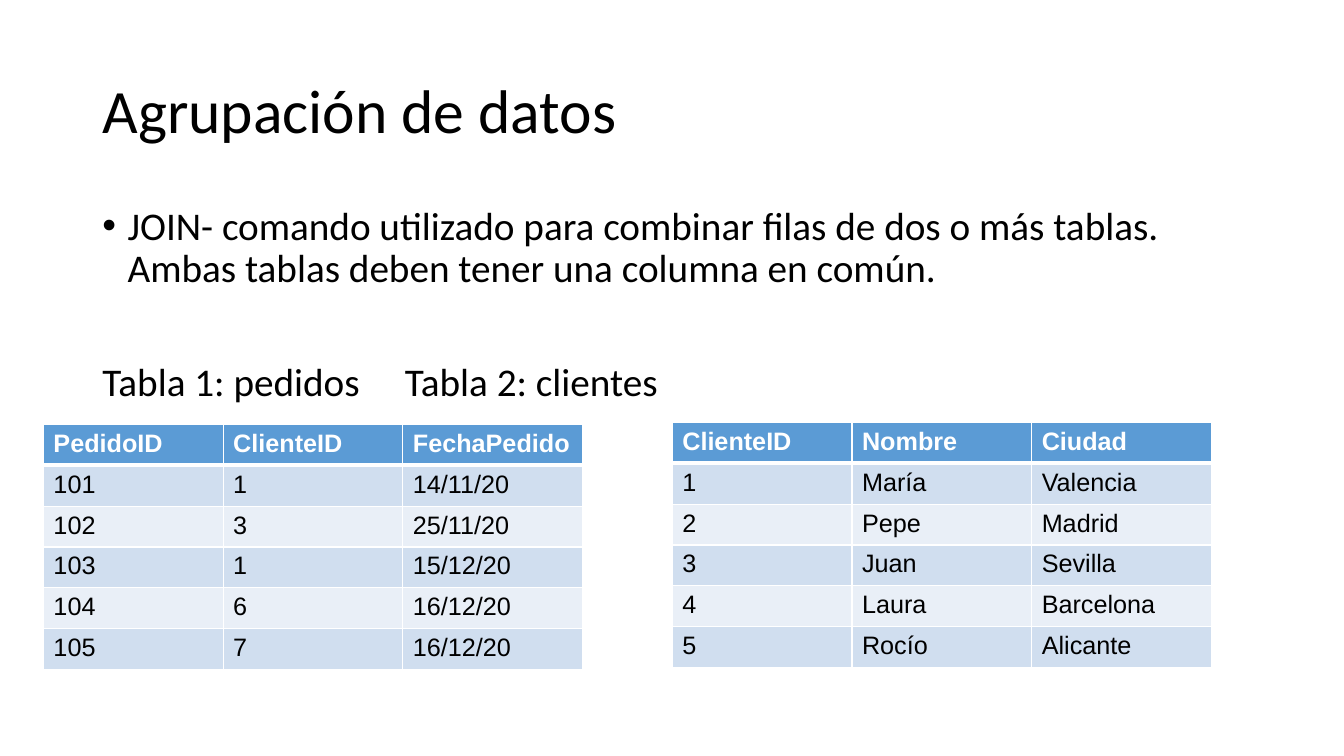
import pptx
import pptx.util
import pptx.oxml
import pptx.oxml.ns
from pptx.dml.color import RGBColor
from pptx.enum.text import MSO_ANCHOR, MSO_AUTO_SIZE, PP_ALIGN

Pt = pptx.util.Pt

TITLE = "Agrupación de datos"
BODY = [
    ("JOIN- comando utilizado para combinar filas de dos o más tablas. "
     "Ambas tablas deben tener una columna en común.", 0, True),
    ("Tabla 1: pedidos\tTabla 2: clientes", 50.8, False),
]
TABLES = [
    ((480.2, 301.7), [
        ("ClienteID", "Nombre", "Ciudad"),
        ("1", "María", "Valencia"),
        ("2", "Pepe", "Madrid"),
        ("3", "Juan", "Sevilla"),
        ("4", "Laura", "Barcelona"),
        ("5", "Rocío", "Alicante"),
    ]),
    ((31, 303.1), [
        ("PedidoID", "ClienteID", "FechaPedido"),
        ("101", "1", "14/11/20"),
        ("102", "3", "25/11/20"),
        ("103", "1", "15/12/20"),
        ("104", "6", "16/12/20"),
        ("105", "7", "16/12/20"),
    ]),
]

BLACK = RGBColor(0, 0, 0)
WHITE = RGBColor(255, 255, 255)
BLUE = RGBColor(0x5B, 0x9B, 0xD5)
BANDS = [RGBColor(0xE9, 0xEF, 0xF7), RGBColor(0xD0, 0xDE, 0xEF)]

COL, ROW = 128.4, 29.2
TAB = 432
HANG = 18

HEAD = {"name": "Calibri", "size": Pt(44)}
LIST = {"name": "Calibri", "size": Pt(28)}
TOP = {"name": "Arial", "size": Pt(18), "bold": True}
CELL = {"name": "Arial", "size": Pt(18), "bold": False}


def apply(item, form):
    for key, value in form.items():
        setattr(item, key, value)


def write(para, text, form, color):
    run = para.add_run()
    run.text = text
    apply(run.font, form)
    run.font.color.rgb = color
    para.alignment = PP_ALIGN.LEFT


def add(parent, tag, **attrs):
    child = pptx.oxml.parse_xml(
        f"<a:{tag} {pptx.oxml.ns.nsdecls('a')}/>")
    for key, value in attrs.items():
        child.set(key, str(value))
    parent.append(child)
    return child


def place(shape, left, top, width, height, anchor):
    apply(shape, {"left": Pt(left), "top": Pt(top),
                  "width": Pt(width), "height": Pt(height)})
    apply(shape.text_frame, {"word_wrap": True, "vertical_anchor": anchor,
                             "auto_size": MSO_AUTO_SIZE.NONE})
    return shape.text_frame


def indent(para, bullet):
    props = para._p.get_or_add_pPr()
    props.set("marL", str(Pt(HANG if bullet else 0)))
    props.set("indent", str(Pt(-HANG if bullet else 0)))
    if bullet:
        add(props, "buFont", typeface="Arial")
        add(props, "buChar", char="•")
    else:
        add(props, "buNone")
        add(add(props, "tabLst"), "tab", pos=Pt(TAB), algn="l")


def border(cell, row):
    props = cell._tc.get_or_add_tcPr()
    wide = {"L": 1, "R": 1, "T": 3 if row == 1 else 1,
            "B": 3 if row == 0 else 1}
    for side, width in wide.items():
        line = add(props, f"ln{side}", w=Pt(width))
        add(add(line, "solidFill"), "srgbClr", val=WHITE)


def grid(slide, spot, rows):
    wide = len(rows[0])
    frame = slide.shapes.add_table(
        len(rows), wide, Pt(spot[0]), Pt(spot[1]),
        Pt(COL * wide), Pt(ROW * len(rows)))
    table = frame.table
    for col in table.columns:
        col.width = Pt(COL)
    for r, row in enumerate(rows):
        table.rows[r].height = Pt(ROW)
        for c, text in enumerate(row):
            cell = table.cell(r, c)
            border(cell, r)
            cell.fill.solid()
            cell.fill.fore_color.rgb = BANDS[r % 2] if r else BLUE
            write(cell.text_frame.paragraphs[0], text,
                  CELL if r else TOP, BLACK if r else WHITE)


def main():
    deck = pptx.Presentation()
    apply(deck, {"slide_width": Pt(960), "slide_height": Pt(540)})
    slide = deck.slides.add_slide(deck.slide_layouts[1])

    frame = place(slide.shapes.title, 66, 28.8, 828, 104.4,
                  MSO_ANCHOR.MIDDLE)
    para = frame.paragraphs[0]
    write(para, TITLE, HEAD, BLACK)
    para.line_spacing = 0.9

    frame = place(slide.placeholders[1], 66, 144, 828, 157.7,
                  MSO_ANCHOR.TOP)
    for i, (text, gap, bullet) in enumerate(BODY):
        para = frame.add_paragraph() if i else frame.paragraphs[0]
        write(para, text, LIST, BLACK)
        apply(para, {"line_spacing": 0.9, "space_before": Pt(gap)})
        indent(para, bullet)

    for spot, rows in TABLES:
        grid(slide, spot, rows)

    deck.save("out.pptx")


if __name__ == "__main__":
    main()
